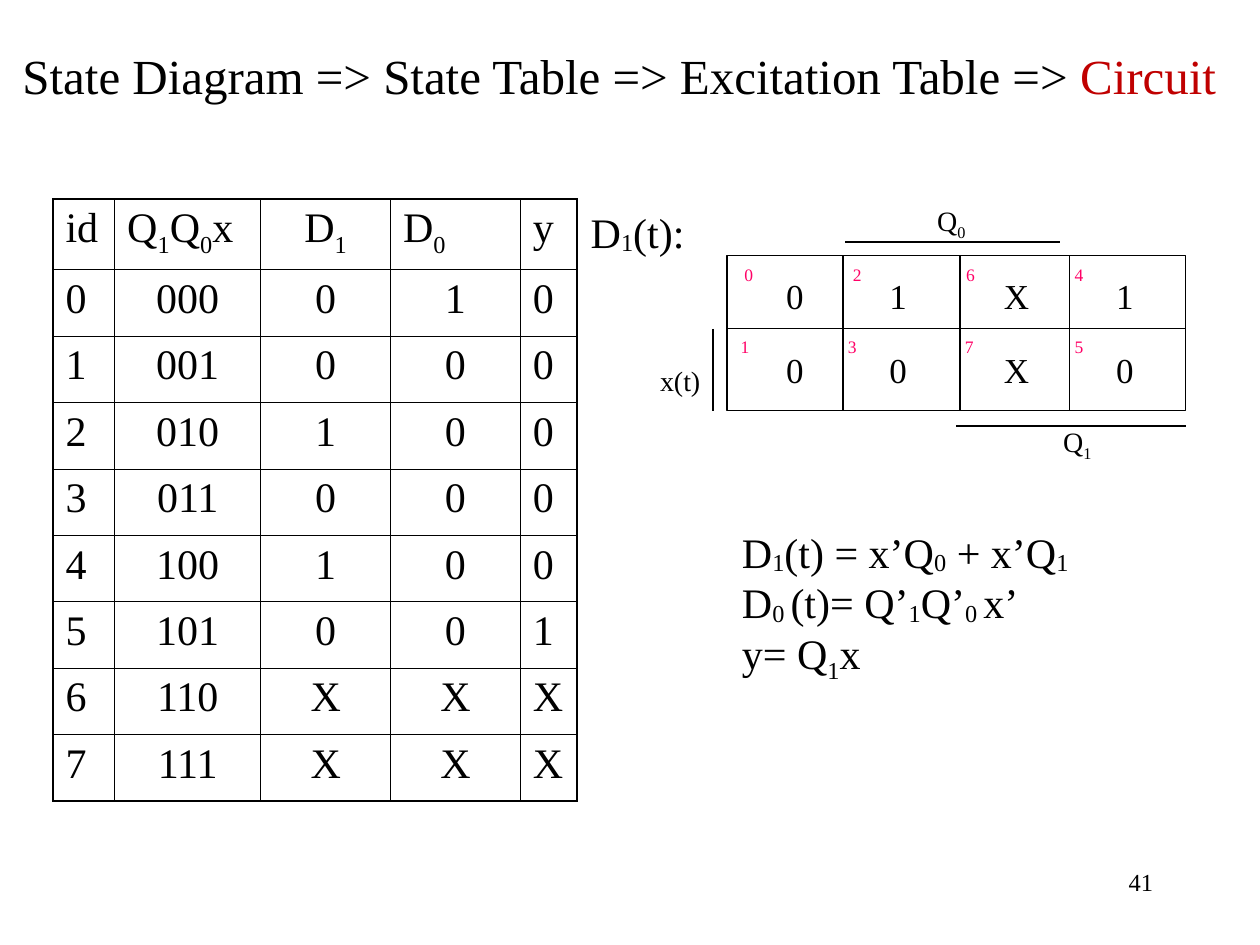
from lxml.etree import SubElement
from pptx import Presentation
from pptx.dml.color import RGBColor
from pptx.enum.shapes import MSO_CONNECTOR, MSO_SHAPE
from pptx.enum.text import PP_ALIGN as AL
from pptx.oxml.ns import qn
from pptx.util import Inches, Pt

FONT, BLACK, RED, PINK = "Times New Roman", "000000", "C00000", "FF0066"
rgb = RGBColor.from_string

prs = Presentation()
prs.slide_width, prs.slide_height = Inches(10), Inches(7.5)
s = prs.slides.add_slide(prs.slide_layouts[6])


def write(tf, lines, size, color=BLACK, align=AL.LEFT, subs=(-25,), stops=()):
    """Fill a text frame; parts between bars are lowered by each line's percentage in subs."""
    for i, (line, sub) in enumerate(zip(lines, subs)):
        p = tf.paragraphs[0] if i == 0 else tf.add_paragraph()
        p.alignment = align
        if stops:
            tabs = SubElement(p._p.get_or_add_pPr(), qn("a:tabLst"))
            for stop in stops:
                SubElement(tabs, qn("a:tab"), pos=str(Inches(stop)), algn="l")
        for j, part in enumerate(line.split("|")):
            if not part:
                continue
            r = p.add_run()
            r.text = part
            r.font.name, r.font.size = FONT, Pt(size)
            r.font.color.rgb = rgb(color)
            if j % 2:
                r._r.get_or_add_rPr().set("baseline", str(sub * 1000))


def add_text(x, y, w, h, lines, size, **style):
    tf = s.shapes.add_textbox(Inches(x), Inches(y), Inches(w), Inches(h)).text_frame
    tf.word_wrap = True
    write(tf, lines, size, **style)
    return tf


# Title and page number
title = add_text(0.08, 0.31, 9.92, 0.57,
                 ["State Diagram => State Table => Excitation Table => |Circuit"], 28, subs=[0])
title.paragraphs[0].runs[1].font.color.rgb = rgb(RED)
add_text(7.17, 6.83, 2.08, 0.5, ["41"], 14, align=AL.RIGHT)

# Karnaugh map: frame, inner grid, and bars marking where each variable is 1
left, top, right, bottom, middle = 5.77, 2.03, 9.41, 3.26, 2.61
frame = s.shapes.add_shape(MSO_SHAPE.RECTANGLE, Inches(left), Inches(top),
                           Inches(right - left), Inches(bottom - top))
frame.shadow.inherit = False
frame.fill.background()
frame.line.color.rgb, frame.line.width = rgb(BLACK), Pt(0.75)

grid = [(x, top, x, bottom) for x in (6.69, 7.62, 8.49)]
grid.append((left, middle, right, middle))
bars = [(7.59, 3.38, right, 3.38), (6.71, 1.92, 8.41, 1.92), (5.66, middle, 5.66, bottom)]
for ends in grid + bars:
    line = s.shapes.add_connector(MSO_CONNECTOR.STRAIGHT, *map(Inches, ends))
    line.line.color.rgb, line.line.width = rgb(BLACK), Pt(0.75)
    SubElement(line._element.spPr, qn("a:effectLst"))

value_stops = (0.28, 1.1, 2.01, 2.9)
for y, indices, stops in ((2.05, "0264", (0.04, 0.9, 1.8, 2.66)),
                          (2.62, "1375", (0.01, 0.86, 1.79, 2.66))):
    add_text(left, y, 3.58, 0.27, ["\t" + "\t".join(indices)], 10, color=PINK, stops=stops)
for y, values in ((2.13, "01X1"), (2.72, "00X0")):
    add_text(5.86, y, 3.39, 0.44, ["\t" + "\t".join(values)], 20, stops=value_stops)

for x, y, label in ((5.14, 2.84, "x(t)"), (8.34, 3.32, "Q|1"), (7.34, 1.57, "Q|0")):
    add_text(x, y, 0.6, 0.4, [label], 16)

# Map name and resulting equations
add_text(4.59, 1.59, 1.1, 0.5, ["D|1|(t):"], 24, subs=[-8])
add_text(5.79, 4.13, 2.95, 1.36,
         ["D|1|(t) = x’Q|0| + x’Q|1", "D|0 |(t)= Q’|1|Q’|0 |x’", "y= Q|1|x"],
         24, subs=[-8, -8, -25])

# Excitation table
rows = [("id", "Q|1|Q|0|x", "D|1", "D|0", "y")]
outputs = ["010", "000", "100", "000", "100", "001", "XXX", "XXX"]
rows += [(str(i), f"{i:03b}", *out) for i, out in enumerate(outputs)]
widths = [0.49, 1.16, 1.03, 1.03, 0.45]
total, header = 4.78, 0.56
heights = [header] + [(total - header) / len(outputs)] * len(outputs)
table = s.shapes.add_table(len(rows), len(widths), Inches(0.42), Inches(1.58),
                           Inches(sum(widths)), Inches(total)).table
table.first_row = table.horz_banding = False
for column, w in zip(table.columns, widths):
    column.width = Inches(w)
for i, (row, h) in enumerate(zip(rows, heights)):
    table.rows[i].height = Inches(h)
    for j, text in enumerate(row):
        cell = table.cell(i, j)
        centred = j == 2 or (i > 0 and j in (1, 3))
        write(cell.text_frame, [text], 24, align=AL.CENTER if centred else AL.LEFT)
        tcPr = cell._tc.get_or_add_tcPr()
        outer = {"L": j == 0, "R": j == len(widths) - 1, "T": i == 0, "B": i == len(rows) - 1}
        for side, is_outer in outer.items():
            ln = SubElement(tcPr, qn(f"a:ln{side}"), w=str(Pt(1.08 if is_outer else 0.45)))
            SubElement(SubElement(ln, qn("a:solidFill")), qn("a:srgbClr"), val=BLACK)
        cell.fill.background()

prs.save("out.pptx")
